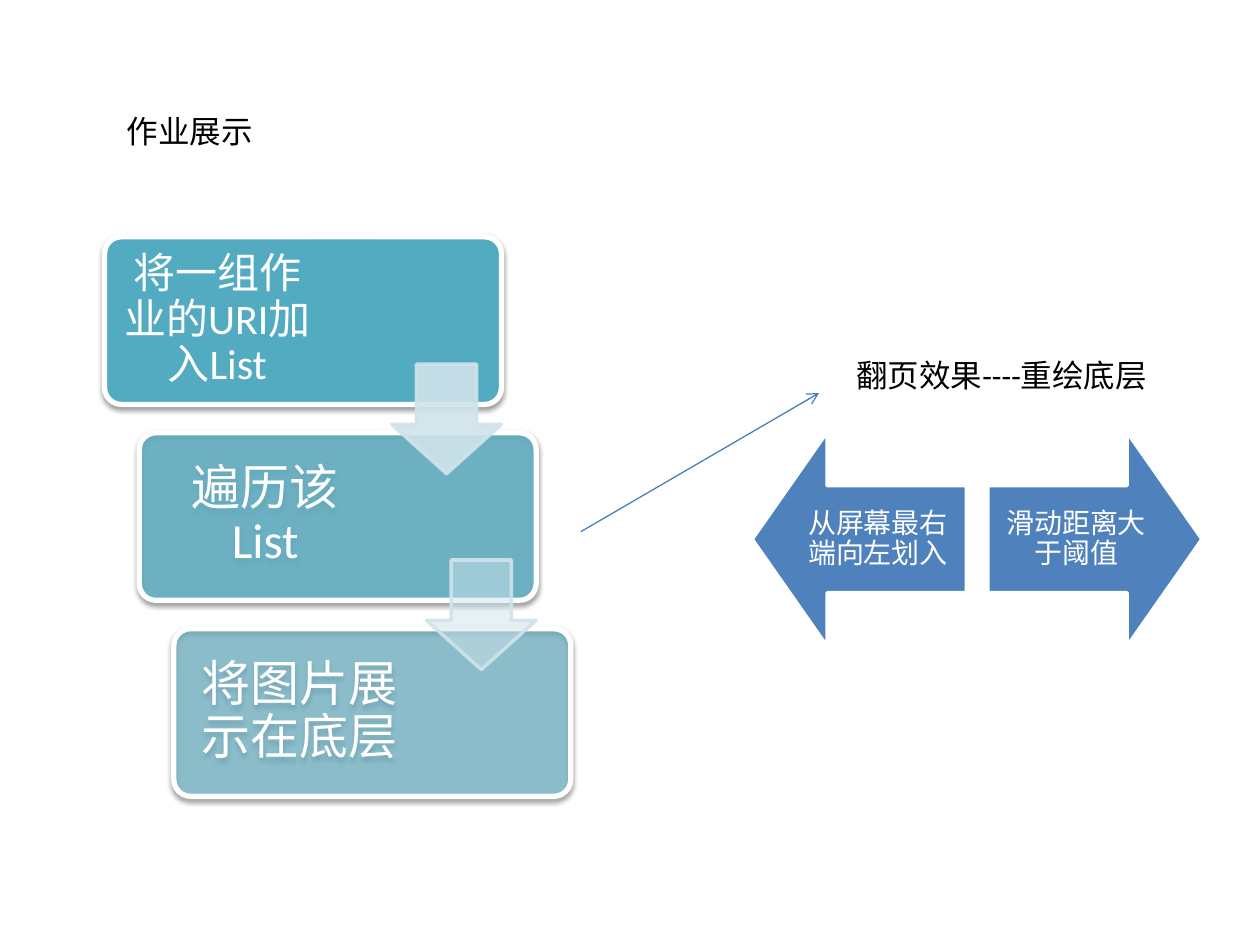
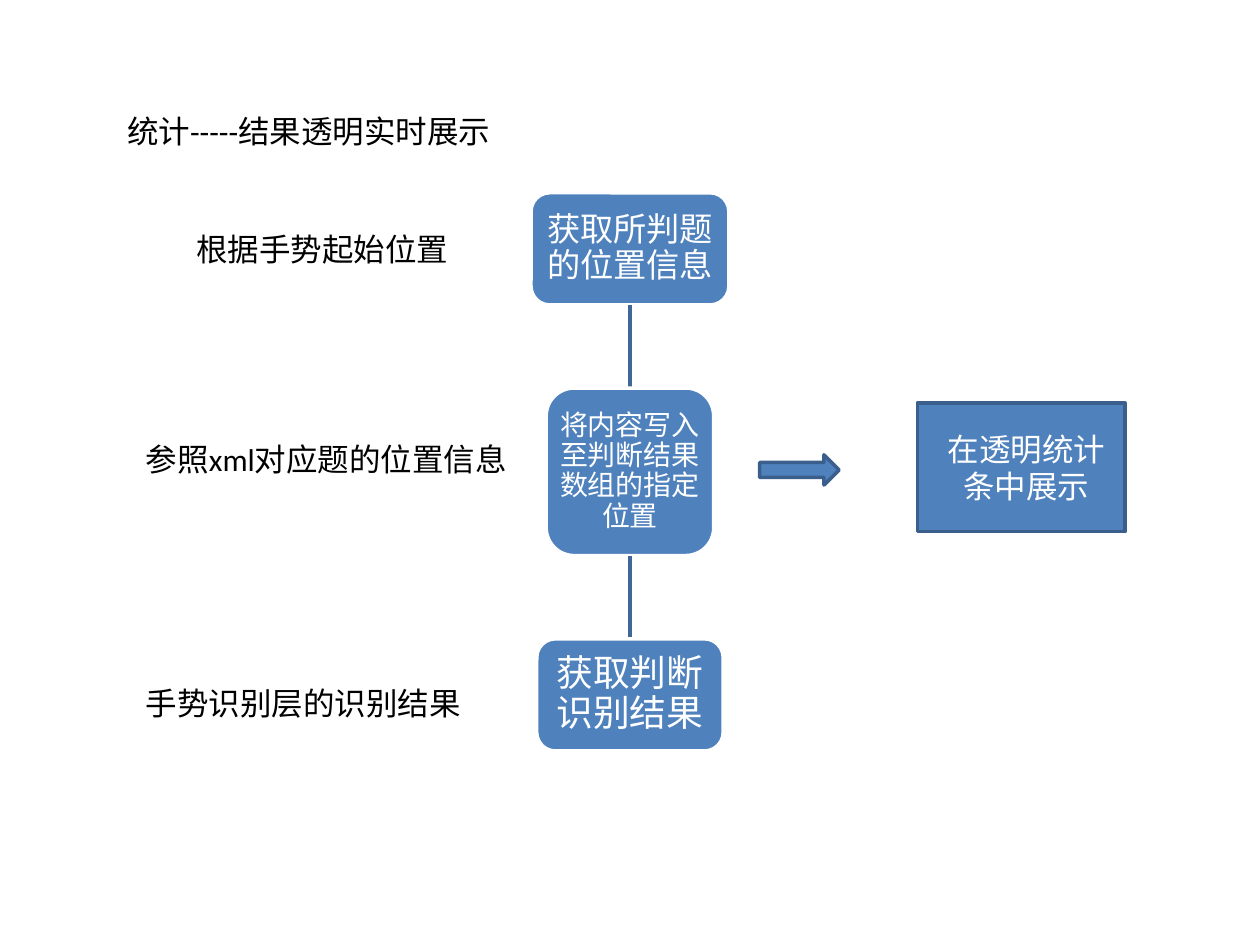
from dataclasses import dataclass, field
from typing import NamedTuple, Optional
from lxml import etree
from pptx import Presentation
from pptx import util as u
from pptx.dml.color import RGBColor
from pptx.enum import shapes, text
from pptx.oxml.ns import qn

COLS, ROWS = 100, 75


@dataclass(frozen=True)
class Theme:
    font: str = "Calibri"
    white: str = "FFFFFF"
    black: str = "000000"
    blue: str = "4F81BD"
    edge: str = "3A5F8C"
    link: str = "3F6797"
    ray: str = "4B7EBC"
    teal: str = "4BACC6"
    pale: str = "D0E3EA"
    body: int = 18
    small: int = 16


T = Theme()
S = shapes.MSO_SHAPE
MID = text.PP_ALIGN.CENTER
LEFT = text.PP_ALIGN.LEFT


class Box(NamedTuple):
    col: float
    row: float
    wide: float
    high: float


class Pad(NamedTuple):
    left: float
    top: float
    right: float
    low: float


@dataclass(frozen=True)
class Words:
    body: str
    size: float = T.body
    tint: str = T.white
    pad: Pad = Pad(1, 0.5, 1, 0.5)
    lead: Optional[float] = 0.9
    side: text.PP_ALIGN = MID


@dataclass(frozen=True)
class Form:
    kind: shapes.MSO_SHAPE
    box: Box
    fill: str = T.blue
    line: str = T.white
    width: float = 2
    bends: tuple = ()
    clear: Optional[int] = None
    fade: Optional[int] = None
    shade: bool = False
    words: Optional[Words] = None


@dataclass(frozen=True)
class Line:
    start: tuple
    end: tuple
    tint: str
    width: float
    tip: bool = False


class Card(NamedTuple):
    body: str
    size: int
    wide: float
    pad: float
    clear: int


class Node(NamedTuple):
    body: str
    size: int
    wide: float
    high: float
    pad: float


deck = Presentation()
deck.slide_width, deck.slide_height = u.Inches(10), u.Inches(7.5)


def across(n: float) -> int:
    return round(deck.slide_width * n / COLS)


def down(n: float) -> int:
    return round(deck.slide_height * n / ROWS)


def place(box: Box) -> tuple:
    return across(box.col), down(box.row), across(box.wide), down(box.high)


def hue(code: str) -> RGBColor:
    return RGBColor.from_string(code)


def thin(paint, share: int) -> None:
    etree.SubElement(paint.find(qn("a:srgbClr")), qn("a:alpha"), val=str(share * 1000))


def write(frame, words: Words) -> None:
    frame.word_wrap = True
    pad = words.pad
    frame.margin_left, frame.margin_right = across(pad.left), across(pad.right)
    frame.margin_top, frame.margin_bottom = down(pad.top), down(pad.low)
    par = frame.paragraphs[0]
    par.alignment = words.side
    if words.lead:
        par.line_spacing = words.lead
    run = par.add_run()
    run.text = words.body
    run.font.name = T.font
    run.font.size = u.Pt(words.size)
    run.font.color.rgb = hue(words.tint)


def label(page, box: Box, body: str, side=LEFT) -> None:
    frame = page.shapes.add_textbox(*place(box)).text_frame
    write(frame, Words(body, tint=T.black, lead=None, side=side))
    frame.auto_size = text.MSO_AUTO_SIZE.SHAPE_TO_FIT_TEXT


def draw(page, form: Form) -> None:
    shape = page.shapes.add_shape(form.kind, *place(form.box))
    for i, bend in enumerate(form.bends):
        shape.adjustments[i] = bend
    shape.fill.solid()
    shape.fill.fore_color.rgb = hue(form.fill)
    shape.line.color.rgb = hue(form.line)
    shape.line.width = u.Pt(form.width)
    shape.shadow.inherit = False
    prop = shape.element.spPr
    if form.clear:
        thin(prop.find(qn("a:solidFill")), form.clear)
    if form.fade:
        thin(prop.find(qn("a:ln")).find(qn("a:solidFill")), form.fade)
    if form.shade:
        cast = etree.SubElement(
            prop.find(qn("a:effectLst")), qn("a:outerShdw"),
            blurRad=str(u.Pt(3.1)), dist=str(u.Pt(1.6)), dir="5400000", rotWithShape="0")
        dark = etree.SubElement(cast, qn("a:srgbClr"), val=T.black)
        etree.SubElement(dark, qn("a:alpha"), val="38000")
    if form.words:
        shape.text_frame.vertical_anchor = text.MSO_ANCHOR.MIDDLE
        write(shape.text_frame, form.words)


def join(page, line: Line) -> None:
    (x, y), (far, low) = line.start, line.end
    wire = page.shapes.add_connector(
        shapes.MSO_CONNECTOR.STRAIGHT, across(x), down(y), across(far), down(low))
    wire.line.color.rgb = hue(line.tint)
    wire.line.width = u.Pt(line.width)
    prop = wire.element.spPr
    if line.tip:
        etree.SubElement(prop.find(qn("a:ln")), qn("a:tailEnd"), type="arrow")
    etree.SubElement(prop, qn("a:effectLst"))


def start(title: str, wide: float):
    page = deck.slides.add_slide(deck.slide_layouts[6])
    label(page, Box(9.1, 8.4, wide, 4), title)
    return page


def even(pad: float) -> Pad:
    return Pad(pad, pad, pad, pad)


def stairs(page) -> None:
    cards = (
        Card("将一组作业的URI加入List", 24, 17.1, 1, 90),
        Card("遍历该List", 28, 19.2, 1.2, 70),
        Card("将图片展示在底层", 28, 19.2, 1.2, 50),
    )
    wide, inset, over, drop = 31.5, 0.4, 2.75, 15.55
    for i, card in enumerate(cards):
        rest = wide - 2 * inset - card.wide + card.pad
        pad = Pad(card.pad, card.pad, rest, card.pad)
        draw(page, Form(
            S.ROUNDED_RECTANGLE, Box(8.3 + over * i, 18.8 + drop * i, wide, 13.3),
            fill=T.teal, width=3, bends=(0.1,), clear=card.clear, shade=True,
            words=Words(card.body, card.size, pad=pad)))
    for i, clear in enumerate((90, 50)):
        draw(page, Form(
            S.DOWN_ARROW, Box(31.1 + over * i, 28.9 + drop * i, 8.7, 8.7),
            fill=T.pale, line=T.pale, bends=(0.55, 0.45), clear=clear, fade=90))


def swipe(page) -> None:
    pair = ((S.LEFT_ARROW, 59.7, "从屏幕最右端向左划入"),
            (S.RIGHT_ARROW, 78.4, "滑动距离大于阈值"))
    for kind, col, body in pair:
        draw(page, Form(kind, Box(col, 34.3, 17, 17), bends=(0.5, 0.35),
                        words=Words(body, T.small, pad=even(1.2))))
    label(page, Box(66.5, 27.8, 26, 4), "翻页效果----重绘底层", MID)
    join(page, Line((46.1, 42.2), (65, 31.2), T.ray, 0.75, True))


def chain(page) -> None:
    nodes = (
        Node("获取所判题的位置信息", 19, 15.7, 8.9, 0.5),
        Node("将内容写入至判断结果数组的指定位置", 16, 13.3, 13.3, 0.4),
        Node("获取判断识别结果", 21, 14.8, 8.9, 0.6),
    )
    mid, gap, row = COLS / 2, 6.6, 15.3
    for i, node in enumerate(nodes):
        if i:
            join(page, Line((mid, row - gap), (mid, row), T.link, 2))
        draw(page, Form(
            S.ROUNDED_RECTANGLE, Box(mid - node.wide / 2, row, node.wide, node.high),
            words=Words(node.body, node.size, pad=even(node.pad))))
        row += node.high + gap


def result(page) -> None:
    draw(page, Form(S.RIGHT_ARROW, Box(60.3, 36.1, 6.3, 2.4), line=T.edge))
    draw(page, Form(
        S.RECTANGLE, Box(72.8, 32, 16.5, 10.2), line=T.edge,
        words=Words("在透明统计条中展示", pad=Pad(1.8, 0.5, 1, 0.5), lead=None)))


def notes(page) -> None:
    for box, body in (
        (Box(14.6, 17.8, 24.4, 4), "根据手势起始位置"),
        (Box(10.6, 34.4, 30.7, 4), "参照xml对应题的位置信息"),
        (Box(10.6, 53.8, 29.9, 4), "手势识别层的识别结果"),
    ):
        label(page, box, body)


show = start("作业展示", 19.7)
swipe(show)
stairs(show)

stats = start("统计-----结果透明实时展示", 36.2)
chain(stats)
notes(stats)
result(stats)

deck.save("out.pptx")
